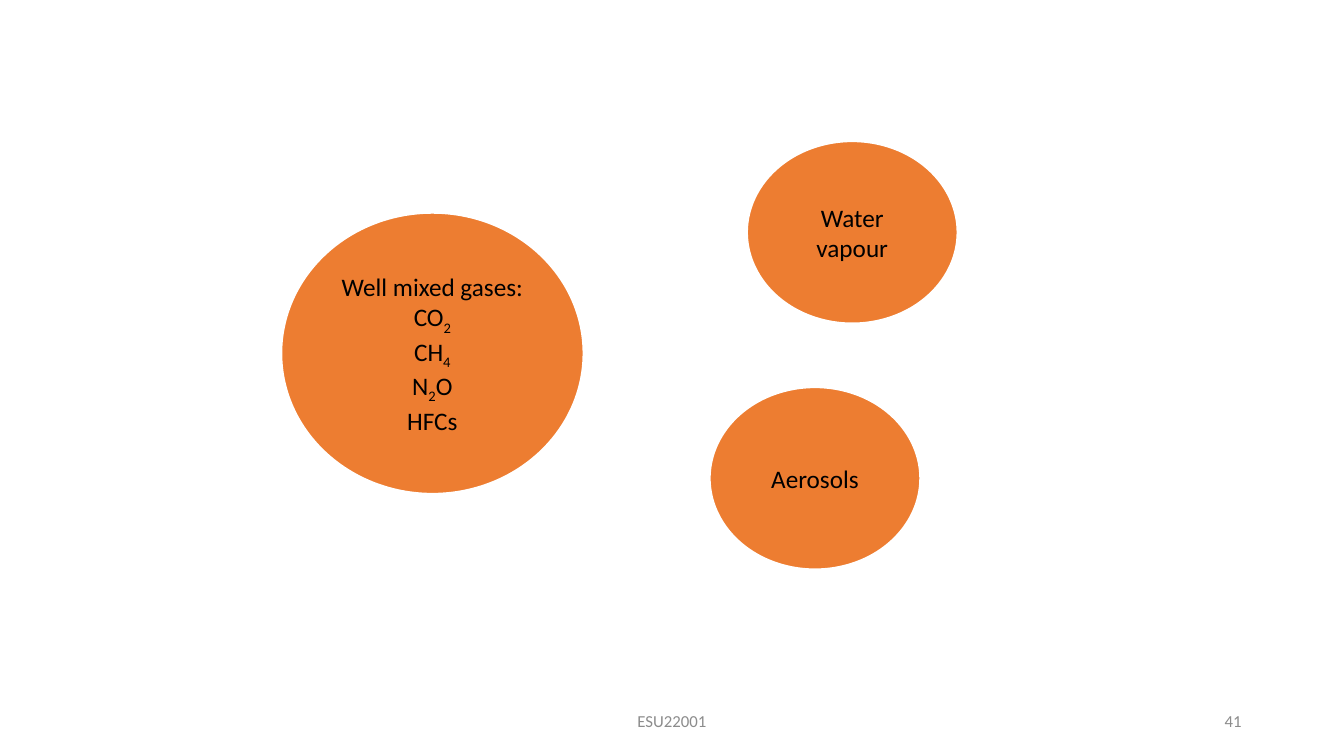
"""Build a slide showing three groups of atmospheric constituents as ellipses."""
from pptx import Presentation
from pptx.dml.color import RGBColor
from pptx.enum.shapes import MSO_SHAPE
from pptx.enum.text import MSO_ANCHOR, PP_ALIGN
from pptx.util import Pt

COLORS = {"ellipse": "ED7D31", "outline": "FFFFFF", "text": "000000", "footer": "8C8C8C"}
FONT = "Calibri"

# Each line alternates normal and subscript runs.
GROUPS = [
    ((200.9, 151.9, 216, 200.9),
     [("Well mixed gases:",), ("CO", "2"), ("CH", "4"), ("N", "2", "O"), ("HFCs",)]),
    ((533.5, 100.8, 150.5, 130.3), [("Water vapour",)]),
    ((506.9, 276.5, 150.5, 130.3), [("Aerosols",)]),
]
FOOTERS = [
    ((318, 500.5, 324, 28.8), "ESU22001", PP_ALIGN.CENTER),
    ((678, 500.5, 216, 28.8), "41", PP_ALIGN.RIGHT),
]


def rgb(name):
    return RGBColor.from_string(COLORS[name])


def write(tf, lines, size, color, align):
    tf.word_wrap = True
    tf.vertical_anchor = MSO_ANCHOR.MIDDLE
    for i, line in enumerate(lines):
        p = tf.add_paragraph() if i else tf.paragraphs[0]
        p.alignment = align
        for j, text in enumerate(line):
            r = p.add_run()
            r.text = text
            r.font.name = FONT
            r.font.size = Pt(size)
            r.font.color.rgb = rgb(color)
            if j % 2:
                r._r.get_or_add_rPr().set("baseline", "-25000")


def add_group(slide, box, lines):
    sp = slide.shapes.add_shape(MSO_SHAPE.OVAL, *map(Pt, box))
    sp.shadow.inherit = False
    sp.fill.solid()
    sp.fill.fore_color.rgb = rgb("ellipse")
    sp.line.color.rgb = rgb("outline")
    sp.line.width = Pt(1.5)
    write(sp.text_frame, lines, 18, "text", PP_ALIGN.CENTER)


def main():
    prs = Presentation()
    prs.slide_width, prs.slide_height = Pt(960), Pt(540)
    slide = prs.slides.add_slide(prs.slide_layouts[6])
    for box, lines in GROUPS:
        add_group(slide, box, lines)
    for box, text, align in FOOTERS:
        sp = slide.shapes.add_textbox(*map(Pt, box))
        write(sp.text_frame, [(text,)], 12, "footer", align)
    prs.save("out.pptx")


if __name__ == "__main__":
    main()
